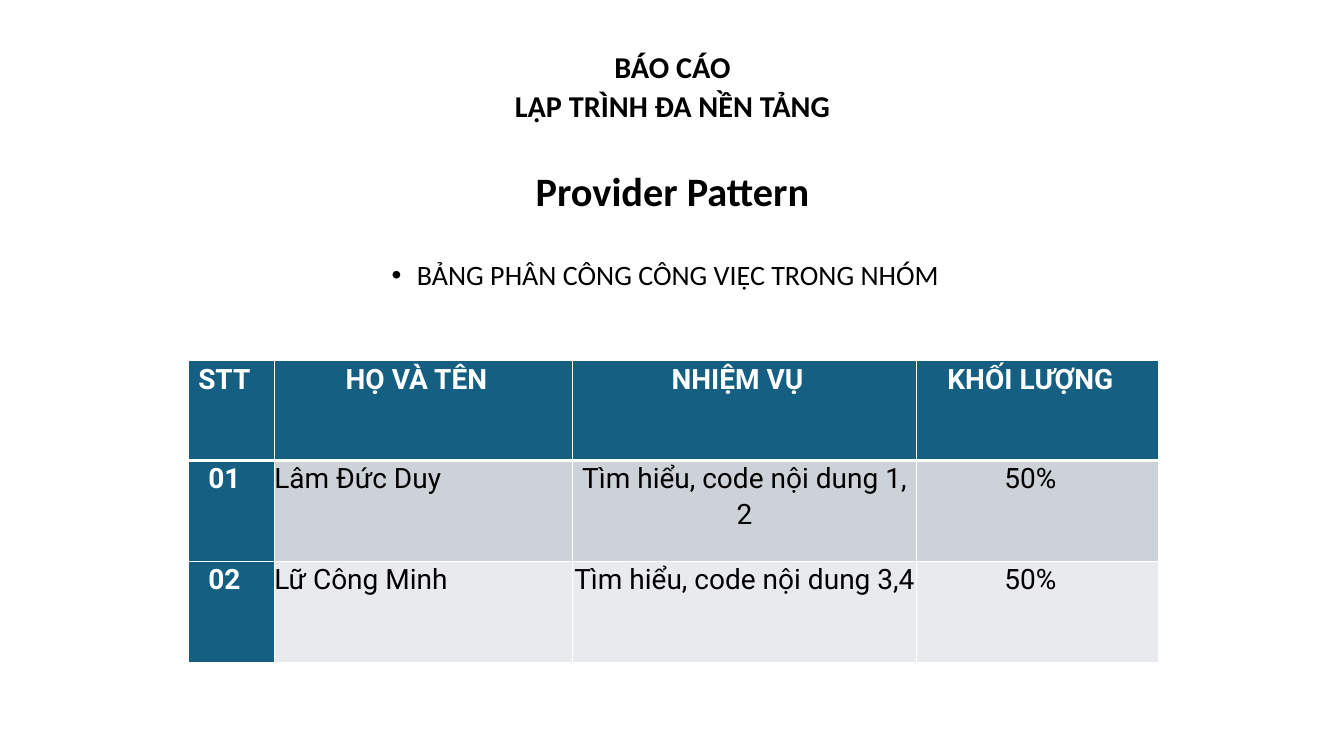
from dataclasses import dataclass

import pptx
import pptx.dml.color
import pptx.enum.text
import pptx.oxml.ns
import pptx.util
from lxml import etree

Inches = pptx.util.Inches
Pt = pptx.util.Pt
ALIGN = pptx.enum.text.PP_ALIGN


@dataclass(frozen=True)
class Theme:
    text_font: str = "Calibri"
    table_font: str = "Roboto"
    black: str = "000000"
    white: str = "FFFFFF"
    header: str = "156082"
    bands: tuple = ("CCD2D8", "E8EAED")
    course_size: float = 21.6
    topic_size: float = 28.8
    text_size: float = 20
    grid_width: float = 1
    header_rule_width: float = 3


THEME = Theme()
COLUMN_WIDTHS = (0.85, 2.96, 3.41, 2.4)
ROW_HEIGHTS = (0.99, 1, 1)
OFFSET_INSET = 0.14  # moves centred text slightly left
ASSIGNMENTS = (
    ("STT", "HỌ VÀ TÊN", "NHIỆM VỤ", "KHỐI LƯỢNG"),
    ("01", "Lâm Đức Duy", "Tìm hiểu, code nội dung 1, 2", "50%"),
    ("02", "Lữ Công Minh", "Tìm hiểu, code nội dung 3,4", "50%"),
)


def rgb(color):
    return pptx.dml.color.RGBColor.from_string(color)


def format_paragraph(paragraph, font, size, color, bold=False,
                     align=ALIGN.CENTER, spacing=1.07, before=0, after=0):
    paragraph.alignment = align
    paragraph.line_spacing = spacing
    paragraph.space_before = Pt(before)
    paragraph.space_after = Pt(after)
    paragraph.font.name = font
    paragraph.font.size = Pt(size)
    paragraph.font.bold = bold
    paragraph.font.color.rgb = rgb(color)


def place(placeholder, left, top, width, height):
    placeholder.left, placeholder.top = Inches(left), Inches(top)
    placeholder.width, placeholder.height = Inches(width), Inches(height)
    placeholder.text_frame.auto_size = pptx.enum.text.MSO_AUTO_SIZE.NONE


def fill_title(title):
    place(title, 0.92, 0.4, 11.5, 1.78)
    frame = title.text_frame
    frame.vertical_anchor = pptx.enum.text.MSO_ANCHOR.MIDDLE
    course = frame.paragraphs[0]
    course.text = "BÁO CÁO\vLẬP TRÌNH ĐA NỀN TẢNG"
    format_paragraph(course, THEME.text_font, THEME.course_size, THEME.black, bold=True)
    topic = frame.add_paragraph()
    topic.text = "Provider Pattern"
    format_paragraph(topic, THEME.text_font, THEME.topic_size, THEME.black,
                     bold=True, before=28)


def fill_body(body):
    place(body, 0.92, 2.54, 11.5, 4.19)
    body.text_frame.margin_right = Inches(0.1 + OFFSET_INSET)
    heading = body.text_frame.paragraphs[0]
    heading.text = "BẢNG PHÂN CÔNG CÔNG VIỆC TRONG NHÓM"
    format_paragraph(heading, THEME.text_font, THEME.text_size, THEME.black,
                     spacing=0.9, before=10)
    properties = heading._p.get_or_add_pPr()
    properties.set("marL", str(Inches(0.25)))
    properties.set("indent", str(-Inches(0.25)))


def set_border(cell, side, width):
    """Draw a white border on one side: L, R, T or B, in that order."""
    qn = pptx.oxml.ns.qn
    line = etree.SubElement(cell._tc.get_or_add_tcPr(), qn(f"a:ln{side}"), w=str(Pt(width)))
    fill = etree.SubElement(line, qn("a:solidFill"))
    etree.SubElement(fill, qn("a:srgbClr"), val=THEME.white)


def fill_cell(cell, text, row, column):
    is_heading = row == 0 or column == 0
    is_name = row > 0 and column == 1
    is_task = row > 0 and column == 2
    cell.margin_left = cell.margin_top = cell.margin_bottom = 0
    cell.margin_right = 0 if is_name or is_task else Inches(OFFSET_INSET)
    cell.text = text
    format_paragraph(cell.text_frame.paragraphs[0], THEME.table_font, THEME.text_size,
                     THEME.white if is_heading else THEME.black, bold=is_heading,
                     align=ALIGN.LEFT if is_name else ALIGN.CENTER, after=8)
    rule_sides = {0: "B", 1: "T"}
    for side in "LRTB":
        under_header = rule_sides.get(row) == side
        set_border(cell, side, THEME.header_rule_width if under_header else THEME.grid_width)
    cell.fill.solid()
    cell.fill.fore_color.rgb = rgb(THEME.header if is_heading else THEME.bands[row - 1])


def add_assignment_table(slide):
    table = slide.shapes.add_table(
        len(ROW_HEIGHTS), len(COLUMN_WIDTHS), Inches(1.87), Inches(3.58),
        Inches(sum(COLUMN_WIDTHS)), Inches(sum(ROW_HEIGHTS))).table
    for column, width in zip(table.columns, COLUMN_WIDTHS):
        column.width = Inches(width)
    for row, height in zip(table.rows, ROW_HEIGHTS):
        row.height = Inches(height)
    for row, entries in enumerate(ASSIGNMENTS):
        for column, text in enumerate(entries):
            fill_cell(table.cell(row, column), text, row, column)


def main():
    presentation = pptx.Presentation()
    presentation.slide_width = Inches(13.33)
    presentation.slide_height = Inches(7.5)
    slide = presentation.slides.add_slide(presentation.slide_layouts[1])
    fill_title(slide.shapes.title)
    fill_body(slide.placeholders[1])
    add_assignment_table(slide)
    presentation.save("out.pptx")


if __name__ == "__main__":
    main()
